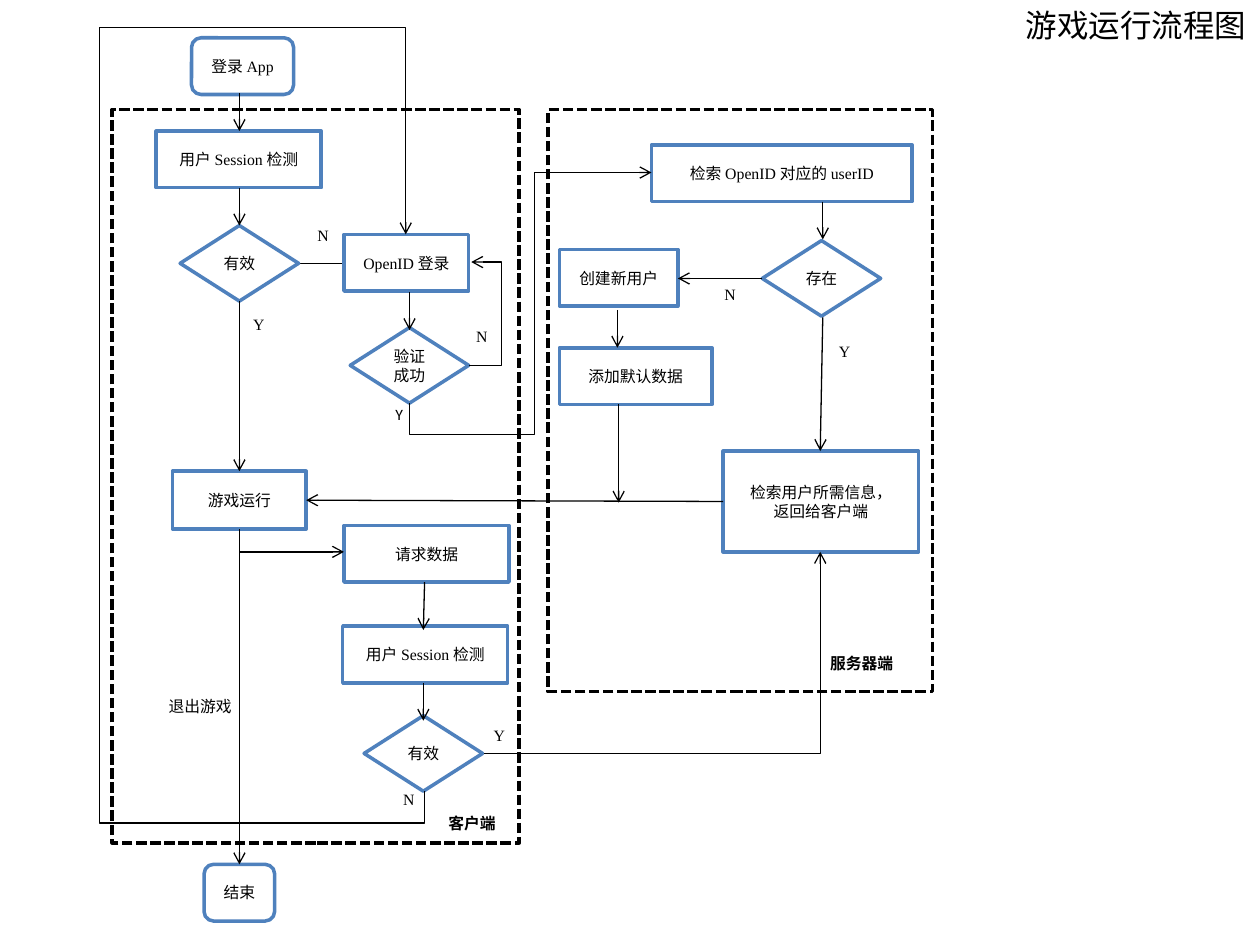
import dataclasses
import itertools
import pptx
import pptx.dml.color
import pptx.enum.dml
import pptx.enum.shapes
import pptx.enum.text
import pptx.oxml
import pptx.oxml.ns
import pptx.util

Inches, Pt = pptx.util.Inches, pptx.util.Pt
qn = pptx.oxml.ns.qn
Kind = pptx.enum.shapes.MSO_SHAPE
Align = pptx.enum.text.PP_ALIGN
Anchor = pptx.enum.text.MSO_ANCHOR
Point = tuple[float, float]


@dataclasses.dataclass(frozen=True)
class Theme:
    ink: str = "000000"
    blue: str = "4F81BD"
    paper: str = "FFFFFF"
    title: float = 18
    text: float = 9
    edge: float = 2
    link: float = 0.75
    plain: str = "Calibri"
    serif: str = "Times New Roman"
    han: str = "Noto Sans CJK SC"


THEME = Theme()


@dataclasses.dataclass(frozen=True)
class Box:
    left: float
    top: float
    width: float
    height: float
    text: str = ""
    kind: Kind = Kind.RECTANGLE
    han: str = THEME.han


@dataclasses.dataclass(frozen=True)
class Label:
    left: float
    top: float
    width: float
    text: str
    latin: str = THEME.serif
    bold: bool = False


def rgb(code: str) -> pptx.dml.color.RGBColor:
    return pptx.dml.color.RGBColor.from_string(code)


def style(run, face: str, size: float, bold: bool = False) -> None:
    run.font.name = face
    run.font.size = Pt(size)
    run.font.bold = bold
    run.font.color.rgb = rgb(THEME.ink)


def write(frame, text: str, latin: str, han: str, size: float,
          align: Align, bold: bool = False) -> None:
    """Fill a frame, giving Latin and Chinese stretches their own fonts."""
    for row, line in enumerate(text.split("\n")):
        para = frame.add_paragraph() if row else frame.paragraphs[0]
        para.alignment = align
        for ascii_part, chars in itertools.groupby(line, str.isascii):
            run = para.add_run()
            run.text = "".join(chars)
            style(run, latin if ascii_part else han, size, bold)


def hug(frame) -> None:
    """Keep the text on one line, with some slack at the right."""
    frame.word_wrap = False
    frame.auto_size = pptx.enum.text.MSO_AUTO_SIZE.SHAPE_TO_FIT_TEXT
    frame.vertical_anchor = Anchor.TOP
    frame.margin_right = Inches(0.05)


def draw_box(slide, box: Box, edge: str, dash=None) -> None:
    shape = slide.shapes.add_shape(
        box.kind, *map(Inches, (box.left, box.top, box.width, box.height)))
    shape.shadow.inherit = False
    shape.fill.solid()
    shape.fill.fore_color.rgb = rgb(THEME.paper)
    shape.line.color.rgb = rgb(edge)
    shape.line.width = Pt(THEME.edge)
    if dash is not None:
        shape.line.dash_style = dash
    if box.text:
        shape.text_frame.word_wrap = True
        shape.text_frame.vertical_anchor = Anchor.MIDDLE
        write(shape.text_frame, box.text, THEME.serif, box.han,
              THEME.text, Align.CENTER)


def draw_label(slide, label: Label) -> None:
    shape = slide.shapes.add_textbox(
        *map(Inches, (label.left, label.top, label.width, 0.25)))
    hug(shape.text_frame)
    write(shape.text_frame, label.text, label.latin, THEME.plain,
          THEME.text, Align.LEFT, label.bold)


def add_elbow(slide, route: list[Point]):
    """Bend a connector through the route, turned if it starts upright."""
    (x0, y0), (x1, y1) = route[0], route[-1]
    dx, dy = x1 - x0, y1 - y0
    upright = route[0][0] == route[1][0]
    turned = upright and dx * dy > 0
    wide, high = (abs(dy), abs(dx)) if upright else (abs(dx), abs(dy))
    left, top = (x0 + x1 - wide) / 2, (y0 + y1 - high) / 2
    link = slide.shapes.add_connector(
        pptx.enum.shapes.MSO_CONNECTOR.ELBOW,
        *map(Inches, (left, top, left + wide, top + high)))

    frame = link.element.find(".//" + qn("a:xfrm"))
    if upright:
        frame.set("rot", str((270 if turned else 90) * 60000))
        flips = (dy < 0) != turned, (dx > 0) != turned
    else:
        flips = dx < 0, dy < 0
    for name, flip in zip(("flipH", "flipV"), flips):
        frame.set(name, str(int(flip)))

    # Each inner bend is a share of the span along its own axis
    shape = link.element.find(".//" + qn("a:prstGeom"))
    shape.set("prst", f"bentConnector{len(route) - 1}")
    guides = shape.find(qn("a:avLst"))
    for step, (x, y) in enumerate(route[1:-2], 1):
        share = (y - y0) / dy if upright == (step % 2 == 1) else (x - x0) / dx
        guides.append(pptx.oxml.parse_xml(
            f'<a:gd {pptx.oxml.ns.nsdecls("a")} name="adj{step}" '
            f'fmla="val {round(share * 100000)}"/>'))
    return link


def draw_link(slide, route: list[Point]) -> None:
    if len(route) == 2:
        link = slide.shapes.add_connector(
            pptx.enum.shapes.MSO_CONNECTOR.STRAIGHT,
            *(Inches(n) for point in route for n in point))
    else:
        link = add_elbow(slide, route)
    link.line.color.rgb = rgb(THEME.ink)
    link.line.width = Pt(THEME.link)
    decl = pptx.oxml.ns.nsdecls("a")
    link.element.find(".//" + qn("a:ln")).append(
        pptx.oxml.parse_xml(f'<a:tailEnd {decl} type="arrow"/>'))
    link.element.find(qn("p:spPr")).append(
        pptx.oxml.parse_xml(f"<a:effectLst {decl}/>"))


ZONES = [Box(0.89, 0.87, 3.23, 5.82), Box(4.35, 0.87, 3.05, 4.62)]

ROUND, TEST = Kind.ROUNDED_RECTANGLE, Kind.FLOWCHART_DECISION
STEPS = [
    # Client
    Box(1.52, 0.3, 0.81, 0.45, "登录App", ROUND, THEME.plain),
    Box(1.24, 1.04, 1.31, 0.45, "用户Session检测", han=THEME.plain),
    Box(1.43, 1.79, 0.94, 0.6, "有效", TEST),
    Box(2.73, 1.86, 0.99, 0.45, "OpenID登录"),
    Box(2.78, 2.6, 0.94, 0.6, "验证成功", TEST),
    Box(1.37, 3.74, 1.06, 0.46, "游戏运行"),
    Box(2.73, 4.17, 1.31, 0.45, "请求数据"),
    Box(2.72, 4.97, 1.31, 0.45, "用户Session检测"),
    Box(2.89, 5.68, 0.94, 0.6, "有效", TEST),
    Box(1.62, 6.86, 0.56, 0.45, "结束", ROUND),
    # Server
    Box(5.17, 1.15, 2.07, 0.45, "检索OpenID对应的userID"),
    Box(6.05, 1.91, 0.94, 0.6, "存在", TEST),
    Box(4.44, 1.98, 0.94, 0.45, "创建新用户"),
    Box(4.44, 2.76, 1.21, 0.45, "添加默认数据"),
    Box(5.74, 3.58, 1.55, 0.8, "检索用户所需信息，\n返回给客户端"),
]

# Its tip lies under the login step
UNDER = [(2.37, 2.09), (2.88, 2.09)]
LINKS = [
    [(1.9, 0.74), (1.9, 1.04)],
    [(1.9, 1.49), (1.9, 1.79)],
    [(1.9, 2.39), (1.9, 3.74)],
    [(1.9, 4.2), (1.9, 6.86)],
    [(3.25, 2.32), (3.25, 2.62)],
    [(3.37, 4.62), (3.36, 5)],
    [(3.36, 5.42), (3.36, 5.72)],
    [(6.53, 1.6), (6.53, 1.9)],
    [(6.53, 2.52), (6.51, 3.58)],
    [(6.05, 2.21), (5.38, 2.21)],
    [(4.9, 2.46), (4.9, 2.76)],
    [(4.91, 3.21), (4.91, 3.99)],
    [(5.74, 3.98), (2.43, 3.97)],
    [(3.72, 2.9), (3.98, 2.9), (3.98, 2.08), (3.74, 2.08)],
    [(1.9, 4.2), (1.9, 4.38), (2.73, 4.38)],
    [(3.37, 6.28), (3.37, 6.53), (0.79, 6.53), (0.79, 0.22),
     (3.22, 0.22), (3.22, 1.86)],
    [(3.25, 3.2), (3.25, 3.45), (4.24, 3.45), (4.24, 1.37), (5.17, 1.37)],
    [(3.84, 5.98), (6.51, 5.98), (6.51, 4.38)],
]

LABELS = [
    Label(1.91, 2.45, 0.29, "Y"),
    Label(2.42, 1.74, 0.29, "N"),
    Label(3.68, 2.54, 0.29, "N"),
    Label(3.04, 3.16, 0.26, "Y", THEME.plain),
    Label(3.1, 6.22, 0.29, "N"),
    Label(3.82, 5.71, 0.29, "Y"),
    Label(6.56, 2.66, 0.29, "Y"),
    Label(5.65, 2.21, 0.29, "N"),
    Label(1.24, 5.48, 0.7, "退出游戏"),
    Label(3.46, 6.41, 0.58, "客户端", bold=True),
    Label(6.49, 5.14, 0.7, "服务器端", bold=True),
]


def main() -> None:
    deck = pptx.Presentation()
    deck.slide_width, deck.slide_height = Inches(10), Inches(7.5)
    slide = deck.slides.add_slide(deck.slide_layouts[5])

    # Title
    title = slide.shapes.title
    title.left, title.top, title.width, title.height = map(
        Inches, (8.04, 0, 1.96, 0.4))
    hug(title.text_frame)
    write(title.text_frame, "游戏运行流程图", THEME.plain, THEME.plain,
          THEME.title, Align.LEFT)

    # Zones, steps, links and labels
    for zone in ZONES:
        draw_box(slide, zone, THEME.ink, pptx.enum.dml.MSO_LINE.SQUARE_DOT)
    draw_link(slide, UNDER)
    for step in STEPS:
        draw_box(slide, step, THEME.blue)
    for route in LINKS:
        draw_link(slide, route)
    for label in LABELS:
        draw_label(slide, label)
    deck.save("out.pptx")


if __name__ == "__main__":
    main()
